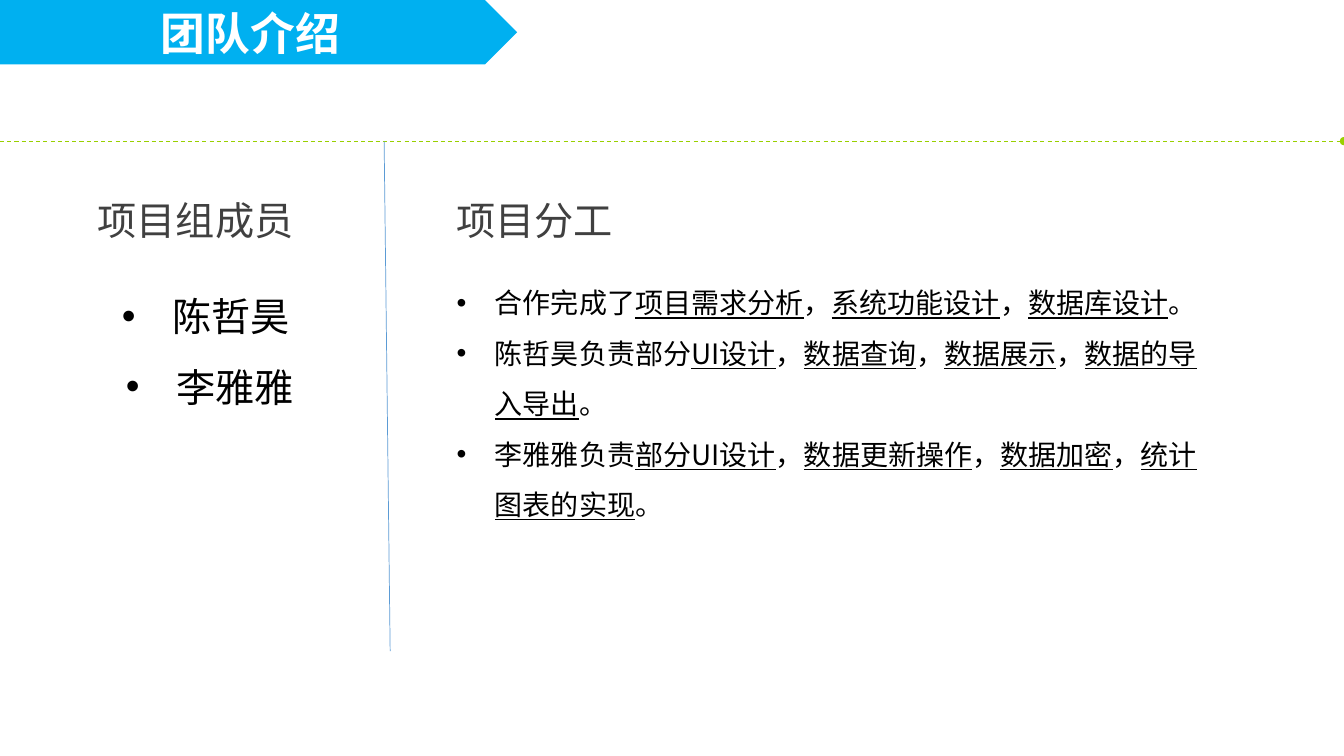
from dataclasses import dataclass

from lxml.etree import SubElement
from pptx import Presentation
from pptx.dml.color import RGBColor
from pptx.enum.dml import MSO_LINE
from pptx.enum.shapes import MSO_CONNECTOR, MSO_SHAPE
from pptx.enum.text import MSO_ANCHOR, MSO_AUTO_SIZE, PP_ALIGN
from pptx.oxml.ns import qn
from pptx.shapes.connector import Connector
from pptx.slide import Slide
from pptx.text.text import _Paragraph as Paragraph
from pptx.util import Emu, Pt

WHITE = RGBColor(0xFF, 0xFF, 0xFF)
BLACK = RGBColor(0x00, 0x00, 0x00)
GREY = RGBColor(0x40, 0x40, 0x40)
CYAN = RGBColor(0x00, 0xB0, 0xF0)
GREEN = RGBColor(0x99, 0xD0, 0x00)
BLUE = RGBColor(0x5B, 0x9B, 0xD5)
FONT = "Noto Sans CJK SC"
EMU_PER_PX = 9144
SLIDE_WIDTH, SLIDE_HEIGHT = 1333, 750
DIVIDER_TOP = 140


@dataclass(frozen=True)
class Line:
    """One paragraph; underlined phrases stand between underscores."""

    text: str
    spacing: float = 1.5
    margin: int = 0
    hanging: int = 0


@dataclass(frozen=True)
class TextBlock:
    """A text box with its frame in px and its shared font."""

    left: int
    top: int
    width: int
    height: int
    size: int
    color: RGBColor
    lines: tuple[Line, ...]


@dataclass(frozen=True)
class Divider:
    """A straight line with its ends in px and its width in points."""

    start: tuple[int, int]
    end: tuple[int, int]
    color: RGBColor
    width: float


HORIZONTAL_DIVIDER = Divider((0, DIVIDER_TOP), (SLIDE_WIDTH, DIVIDER_TOP), GREEN, 0.75)
VERTICAL_DIVIDER = Divider((381, DIVIDER_TOP), (387, 646), BLUE, 0.5)

TEXT_BLOCKS = (
    TextBlock(443, 262, 779, 262, 20, BLACK, tuple(
        Line(text, margin=38, hanging=38)
        for text in (
            "合作完成了_项目需求分析_，_系统功能设计_，_数据库设计_。",
            "陈哲昊负责部分_UI设计_，_数据查询_，_数据展示_，_数据的导入导出_。",
            "李雅雅负责_部分UI设计_，_数据更新操作_，_数据加密_，_统计图表的实现_。",
        )
    )),
    TextBlock(111, 285, 237, 128, 28, BLACK, (
        Line("陈哲昊", spacing=1.0, margin=50, hanging=50),
        Line("李雅雅", margin=54, hanging=50),
    )),
    TextBlock(87, 166, 261, 81, 28, GREY, (Line("项目组成员"),)),
    TextBlock(443, 166, 360, 81, 28, GREY, (Line("项目分工"),)),
)


def px(value: int) -> Emu:
    """Turn px into EMU."""
    return Emu(value * EMU_PER_PX)


def set_font(paragraph: Paragraph, size: int, color: RGBColor, bold: bool = False) -> None:
    """Set the font of a paragraph for Latin and East Asian text."""
    font = paragraph.font
    font.name = FONT
    font.size = Pt(size)
    font.bold = bold
    font.color.rgb = color
    properties = paragraph._p.pPr.find(qn("a:defRPr"))
    SubElement(properties, qn("a:ea"), typeface=FONT)


def add_bullet(paragraph: Paragraph, line: Line) -> None:
    """Give a paragraph a round bullet and a hanging indent."""
    properties = paragraph._p.get_or_add_pPr()
    properties.set("marL", str(px(line.margin)))
    properties.set("indent", str(px(-line.hanging)))
    SubElement(properties, qn("a:buFont"), typeface="Arial")
    SubElement(properties, qn("a:buChar"), char="•")


def add_text_block(slide: Slide, block: TextBlock) -> None:
    """Draw a text box with its paragraphs and underlined phrases."""
    shape = slide.shapes.add_textbox(
        px(block.left), px(block.top), px(block.width), px(block.height)
    )
    frame = shape.text_frame
    frame.word_wrap = True
    frame.auto_size = MSO_AUTO_SIZE.SHAPE_TO_FIT_TEXT
    for index, line in enumerate(block.lines):
        paragraph = frame.add_paragraph() if index else frame.paragraphs[0]
        paragraph.line_spacing = line.spacing
        if line.hanging:
            add_bullet(paragraph, line)
        set_font(paragraph, block.size, block.color)
        for position, phrase in enumerate(line.text.split("_")):
            run = paragraph.add_run()
            run.text = phrase
            if position % 2:
                run.font.underline = True


def add_divider(slide: Slide, divider: Divider) -> Connector:
    """Draw a straight line without a shadow."""
    connector = slide.shapes.add_connector(
        MSO_CONNECTOR.STRAIGHT, *map(px, divider.start + divider.end)
    )
    connector.line.color.rgb = divider.color
    connector.line.width = Pt(divider.width)
    SubElement(connector._element.spPr, qn("a:effectLst"))
    return connector


def add_title_banner(slide: Slide) -> None:
    """Draw the arrow-shaped banner with the slide title."""
    banner = slide.shapes.add_shape(MSO_SHAPE.PENTAGON, 0, 0, px(513), px(64))
    banner.shadow.inherit = False
    banner.fill.solid()
    banner.fill.fore_color.rgb = CYAN
    banner.line.fill.background()
    banner.text_frame.vertical_anchor = MSO_ANCHOR.MIDDLE
    paragraph = banner.text_frame.paragraphs[0]
    paragraph.alignment = PP_ALIGN.CENTER
    paragraph.add_run().text = "团队介绍"
    set_font(paragraph, 32, WHITE, bold=True)


def main() -> None:
    """Build the team slide and save it."""
    presentation = Presentation()
    presentation.slide_width = px(SLIDE_WIDTH)
    presentation.slide_height = px(SLIDE_HEIGHT)
    slide = presentation.slides.add_slide(presentation.slide_layouts[6])
    horizontal = add_divider(slide, HORIZONTAL_DIVIDER)
    horizontal.line.dash_style = MSO_LINE.DASH
    SubElement(horizontal.line._ln, qn("a:tailEnd"), type="oval")
    add_title_banner(slide)
    for block in TEXT_BLOCKS:
        add_text_block(slide, block)
    add_divider(slide, VERTICAL_DIVIDER)
    presentation.save("out.pptx")


if __name__ == "__main__":
    main()
